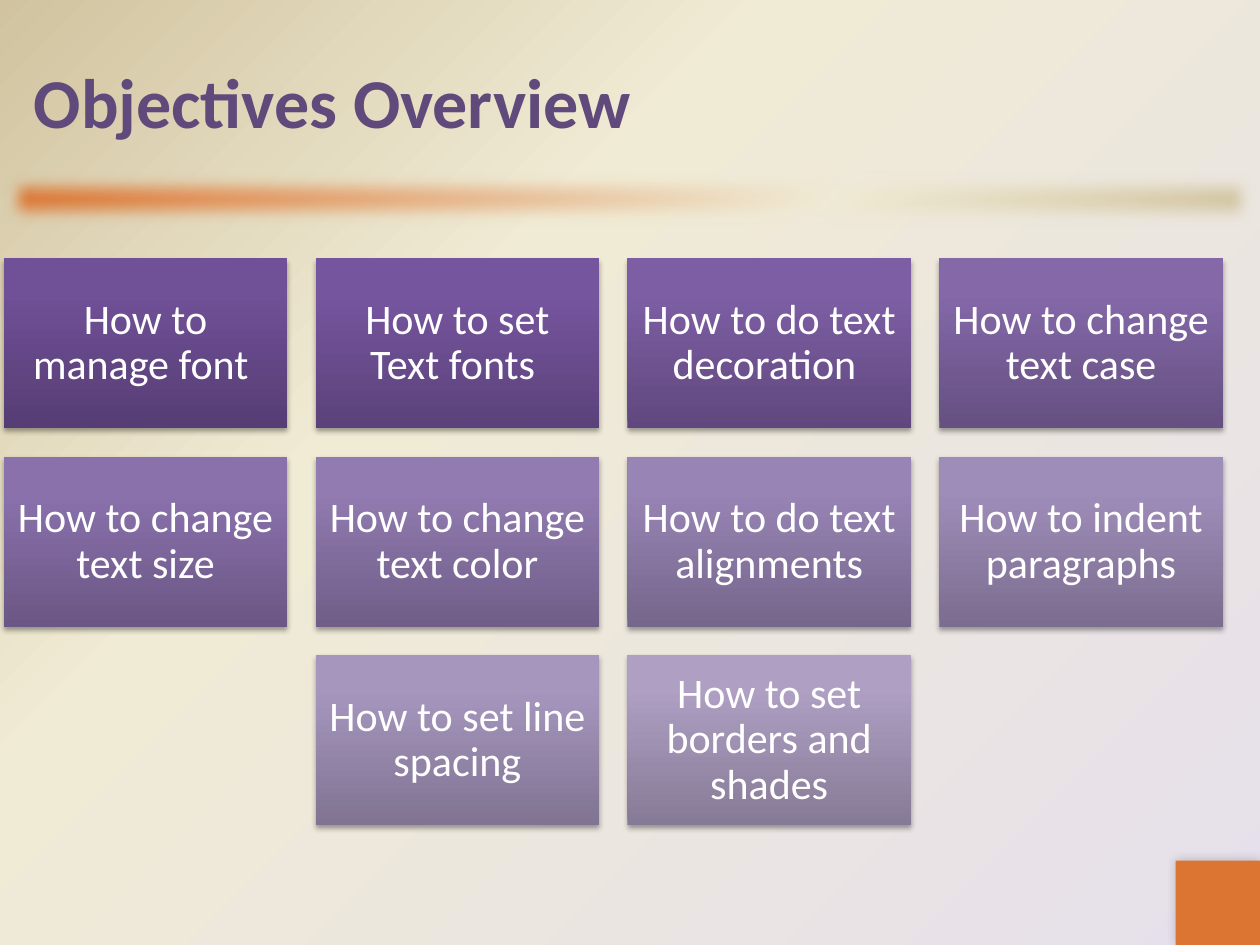
from typing import NamedTuple

from lxml.etree import SubElement
from pptx import Presentation
from pptx.dml.color import RGBColor
from pptx.enum.shapes import MSO_SHAPE as Preset
from pptx.enum.text import MSO_ANCHOR as Anchor, PP_ALIGN as Align
from pptx.oxml.ns import qn
from pptx.util import Inches, Pt

FONT = "Calibri"
ORANGE, CREAM, SAND, LILAC = "DB7531", "F0EBD5", "D1C39F", "E6E0EC"
COLUMNS = 4
TILE_WIDTH, TILE_HEIGHT = 2.25, 1.35
GAP = TILE_WIDTH / 10
GRID_LEFT, GRID_TOP = 0.03, 2.05


class Objective(NamedTuple):
    text: str
    bottom: str
    middle: str
    top: str


class Shadow(NamedTuple):
    blur: float
    distance: float
    direction: int
    opacity: int


OBJECTIVES = [
    Objective("How to manage font ", "563D74", "705097", "704F99"),
    Objective("How to set Text fonts ", "5B427A", "76559F", "7654A1"),
    Objective("How to do text decoration ", "60487E", "7D5EA4", "7D5DA6"),
    Objective("How to change text case", "655081", "8468A8", "8467AA"),
    Objective("How to change text size", "6B5785", "8A71AC", "8B71AE"),
    Objective("How to change text color", "705E88", "917BB0", "927AB2"),
    Objective("How to do text alignments", "75668B", "9884B5", "9984B7"),
    Objective("How to indent paragraphs", "7B6D8F", "9F8DB9", "A08DBB"),
    Objective("How to set line spacing", "807492", "A696BE", "A796C0"),
    Objective("How to set borders and shades", "867B96", "AE9FC3", "AE9FC4"),
]
TILE_SHADOW = Shadow(3.1, 1.8, 90, 35)
CORNER_SHADOW = Shadow(6, 0, 225, 20)


def rgb(value: str) -> RGBColor:
    return RGBColor.from_string(value)


def add_gradient(owner, fill, stops, angle=None) -> None:
    """Fill with (percent, colour) stops: linear, or from the bottom right corner without an angle."""
    fill.solid()
    solid = owner.find(".//" + qn("a:solidFill"))
    gradient = solid.makeelement(qn("a:gradFill"), {"rotWithShape": "1"})
    solid.getparent().replace(solid, gradient)
    stop_list = SubElement(gradient, qn("a:gsLst"))
    for percent, colour in stops:
        stop = SubElement(stop_list, qn("a:gs"), pos=str(percent * 1000))
        SubElement(stop, qn("a:srgbClr"), val=colour)
    if angle is None:
        circle = SubElement(gradient, qn("a:path"), path="circle")
        SubElement(circle, qn("a:fillToRect"), l="100000", t="100000")
    else:
        SubElement(gradient, qn("a:lin"), ang=str(angle * 60000), scaled="0")


def add_effect(shape, name: str, **attributes):
    effects = shape.element.spPr.find(qn("a:effectLst"))
    return SubElement(effects, qn("a:" + name), **attributes)


def add_shadow(shape, shadow: Shadow) -> None:
    outer = add_effect(
        shape, "outerShdw", blurRad=str(Pt(shadow.blur)), dist=str(Pt(shadow.distance)),
        dir=str(shadow.direction * 60000), rotWithShape="0",
    )
    colour = SubElement(outer, qn("a:srgbClr"), val="000000")
    SubElement(colour, qn("a:alpha"), val=str(shadow.opacity * 1000))


def add_rectangle(slide, left: float, top: float, width: float, height: float):
    rectangle = slide.shapes.add_shape(
        Preset.RECTANGLE, Inches(left), Inches(top), Inches(width), Inches(height))
    rectangle.shadow.inherit = False
    rectangle.line.fill.background()
    return rectangle


def write(shape, text: str, size: int, colour: str, align, bold: bool = False):
    """Write one middle-anchored line of text and return its paragraph."""
    frame = shape.text_frame
    frame.word_wrap = True
    frame.vertical_anchor = Anchor.MIDDLE
    paragraph = frame.paragraphs[0]
    paragraph.alignment = align
    run = paragraph.add_run()
    run.text = text
    run.font.name, run.font.size, run.font.bold = FONT, Pt(size), bold
    run.font.color.rgb = rgb(colour)
    return paragraph


def add_objective(slide, objective: Objective, left: float, top: float) -> None:
    tile = add_rectangle(slide, left, top, TILE_WIDTH, TILE_HEIGHT)
    stops = [(0, objective.bottom), (80, objective.middle), (100, objective.top)]
    add_gradient(tile.element, tile.fill, stops, angle=270)
    add_shadow(tile, TILE_SHADOW)
    frame = tile.text_frame
    frame.margin_left = frame.margin_right = Inches(0.1)
    frame.margin_top = frame.margin_bottom = Inches(0.1)
    write(tile, objective.text, 24, "FFFFFF", Align.CENTER).line_spacing = 0.9


def add_objectives(slide) -> None:
    """Lay the tiles out row by row, centring a row that is not full."""
    for start in range(0, len(OBJECTIVES), COLUMNS):
        row = OBJECTIVES[start:start + COLUMNS]
        top = GRID_TOP + start // COLUMNS * (TILE_HEIGHT + GAP)
        indent = (COLUMNS - len(row)) / 2
        for column, objective in enumerate(row):
            left = GRID_LEFT + (indent + column) * (TILE_WIDTH + GAP)
            add_objective(slide, objective, left, top)


def main() -> None:
    deck = Presentation()
    deck.slide_width, deck.slide_height = Inches(10), Inches(7.5)
    slide = deck.slides.add_slide(deck.slide_layouts[6])
    add_gradient(slide.element, slide.background.fill,
                 [(0, LILAC), (65, CREAM), (100, SAND)])

    divider = add_rectangle(slide, 0, 1.33, 10, 0.5)
    add_gradient(divider.element, divider.fill,
                 [(0, ORANGE), (65, CREAM), (100, SAND)], angle=45)
    add_effect(divider, "softEdge", rad=str(Pt(10)))

    corner = add_rectangle(slide, 9.33, 6.83, 0.67, 0.67)
    corner.fill.solid()
    corner.fill.fore_color.rgb = rgb(ORANGE)
    add_shadow(corner, CORNER_SHADOW)

    title = slide.shapes.add_textbox(Inches(0.17), Inches(0.17), Inches(9.67), Inches(1.25))
    write(title, "Objectives Overview", 40, "604A7B", Align.LEFT, bold=True)

    add_objectives(slide)
    deck.save("out.pptx")


if __name__ == "__main__":
    main()
